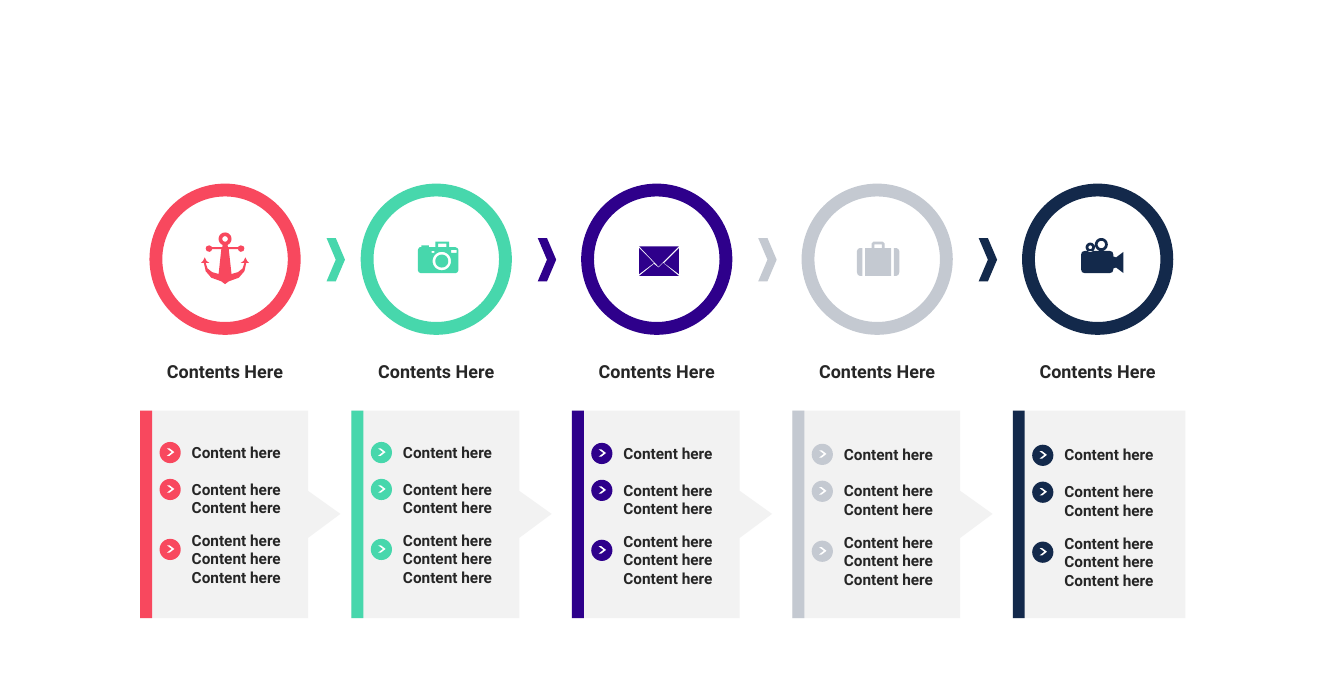
from math import cos, pi, sin

from pptx import Presentation
from pptx.dml.color import RGBColor
from pptx.enum.shapes import MSO_SHAPE as Preset
from pptx.enum.text import MSO_ANCHOR as Anchor, PP_ALIGN as Align
from pptx.util import Inches, Pt

RED = RGBColor(0xF8, 0x48, 0x5E)
GREEN = RGBColor(0x47, 0xD7, 0xAC)
PURPLE = RGBColor(0x2E, 0x00, 0x8B)
SILVER = RGBColor(0xC4, 0xC9, 0xD1)
NAVY = RGBColor(0x13, 0x29, 0x4B)
WHITE = RGBColor(0xFF, 0xFF, 0xFF)
PANEL_GREY = RGBColor(0xF2, 0xF2, 0xF2)
INK = RGBColor(0x26, 0x26, 0x26)
FONT = "Roboto"


def circle(x, y, radius, steps=32):
    angles = [2 * pi * step / steps for step in range(steps)]
    return [(x + radius * cos(angle), y + radius * sin(angle)) for angle in angles]


def rectangle(x, y, width, height):
    return [(x, y), (x + width, y), (x + width, y + height), (x, y + height)]


def mirrored(half):
    return half + [(-x, y) for x, y in reversed(half)]


# Icon outlines, in inches from the centre of the ring; inner outlines are holes
ANCHOR = [
    circle(0, -0.22, 0.07), circle(0, -0.22, 0.03),
    mirrored([
        (0.03, -0.15), (0.03, -0.13), (0.14, -0.13), (0.15, -0.14), (0.17, -0.15),
        (0.2, -0.14), (0.21, -0.12), (0.2, -0.09), (0.17, -0.08), (0.15, -0.09),
        (0.14, -0.11), (0.04, -0.11), (0.07, 0.16), (0.14, 0.14), (0.19, 0.1),
        (0.21, 0.04), (0.17, 0.04), (0.2, 0.02), (0.22, -0.02), (0.24, 0.02),
        (0.26, 0.04), (0.23, 0.04), (0.21, 0.13), (0.15, 0.2), (0.04, 0.24), (0, 0.27),
    ]),
]
CAMERA = [
    [(-0.18, -0.13), (-0.16, -0.13), (-0.16, -0.15), (-0.08, -0.15), (-0.08, -0.13),
     (-0.01, -0.13), (-0.01, -0.19), (0.14, -0.19), (0.14, -0.13), (0.21, -0.13),
     (0.23, -0.12), (0.24, -0.1), (0.24, 0.12), (0.23, 0.14), (0.21, 0.15),
     (-0.17, 0.15), (-0.19, 0.14), (-0.2, 0.12), (-0.2, -0.1), (-0.19, -0.12)],
    circle(0.06, 0.02, 0.1), circle(0.06, 0.02, 0.07),
    rectangle(-0.05, -0.09, 0.03, 0.02), rectangle(0.16, -0.1, 0.06, 0.03),
    rectangle(0.02, -0.17, 0.09, 0.04),
]
ENVELOPE = [
    [(0.07, 0.04), (0.24, 0.18), (-0.19, 0.18), (-0.03, 0.05), (0.02, 0.09)],
    [(0.24, -0.12), (0.24, 0.16), (0.08, 0.04)],
    [(-0.19, -0.12), (-0.03, 0.04), (-0.19, 0.16)],
    [(-0.19, -0.14), (0.24, -0.14), (0.02, 0.08)],
]
SUITCASE = [
    [(0.18, -0.12), (0.21, -0.12), (0.23, -0.11), (0.24, -0.09),
     (0.24, 0.14), (0.23, 0.17), (0.21, 0.18), (0.18, 0.18)],
    [(-0.16, -0.12), (-0.19, -0.12), (-0.21, -0.11), (-0.22, -0.09),
     (-0.22, 0.14), (-0.21, 0.17), (-0.19, 0.18), (-0.16, 0.18)],
    [(-0.13, -0.12), (-0.06, -0.12), (-0.06, -0.17), (-0.04, -0.19), (0.06, -0.19),
     (0.08, -0.17), (0.08, -0.12), (0.15, -0.12), (0.15, 0.18), (-0.13, 0.18)],
    rectangle(-0.03, -0.16, 0.08, 0.04),
]
FILM_CAMERA = [
    circle(-0.08, -0.13, 0.05), circle(-0.08, -0.13, 0.02),
    circle(0.04, -0.16, 0.07), circle(0.04, -0.16, 0.04),
    [(-0.14, -0.09), (0.13, -0.09), (0.16, -0.08), (0.17, -0.05), (0.17, -0.03),
     (0.2, -0.02), (0.28, -0.08), (0.28, 0.15), (0.2, 0.09), (0.17, 0.1),
     (0.17, 0.11), (0.16, 0.14), (0.13, 0.15), (-0.14, 0.15), (-0.17, 0.14),
     (-0.18, 0.11), (-0.18, -0.05), (-0.17, -0.08)],
]

# Colour, icon, heading, downward shift of the bullets
STEPS = [
    (RED, ANCHOR, "Contents Here", 0),
    (GREEN, CAMERA, "Contents Here", 0),
    (PURPLE, ENVELOPE, "Contents Here", 0.01),
    (SILVER, SUITCASE, "Contents Here", 0.02),
    (NAVY, FILM_CAMERA, "Contents Here", 0.03),
]
# Marker top, text top, text height, lines
BULLETS = [
    (4.79, 4.75, 0.3, ["Content here"]),
    (5.19, 5.15, 0.5, ["Content here"] * 2),
    (5.84, 5.7, 0.71, ["Content here"] * 3),
]
FIRST_LEFT, SECOND_LEFT, PITCH = 1.52, 3.81, 2.39
RING_TOP, RING_SIZE = 2.06, 1.5
PANEL_TOP, PANEL_HEIGHT = 4.45, 2.25
PANEL_WIDTH, LAST_PANEL_WIDTH = 1.82, 1.87

deck = Presentation()
deck.slide_width, deck.slide_height = Inches(14.57), Inches(7.5)
page = deck.slides.add_slide(deck.slide_layouts[6])


def paint(shape, color):
    shape.shadow.inherit = False
    shape.fill.solid()
    shape.fill.fore_color.rgb = color
    shape.line.fill.background()


def add_preset(preset, left, top, width, height, color):
    shape = page.shapes.add_shape(
        preset, Inches(left), Inches(top), Inches(width), Inches(height))
    paint(shape, color)
    return shape


def add_outlines(outlines, x, y, color):
    """Draw all outlines as one freeform, with (x, y) as their origin."""
    builder = None
    for outline in outlines:
        points = [(Inches(x + dx), Inches(y + dy)) for dx, dy in outline]
        if builder is None:
            builder = page.shapes.build_freeform(*points[0])
        else:
            builder.move_to(*points[0])
        builder.add_line_segments(points[1:], close=True)
    paint(builder.convert_to_shape(), color)


def add_text(left, top, width, height, lines, size, align):
    box = page.shapes.add_textbox(Inches(left), Inches(top), Inches(width), Inches(height))
    frame = box.text_frame
    frame.word_wrap = True
    frame.vertical_anchor = Anchor.MIDDLE
    for index, line in enumerate(lines):
        para = frame.add_paragraph() if index else frame.paragraphs[0]
        para.alignment = align
        span = para.add_run()
        span.text = line
        span.font.name, span.font.size, span.font.bold = FONT, Pt(size), True
        span.font.color.rgb = INK


def add_panel(left, color, is_last):
    if is_last:
        add_preset(Preset.RECTANGLE, left, PANEL_TOP, LAST_PANEL_WIDTH, PANEL_HEIGHT, PANEL_GREY)
    else:
        outline = [(0, 0), (PANEL_WIDTH, 0), (PANEL_WIDTH, 0.87), (2.17, 1.12),
                   (PANEL_WIDTH, 1.38), (PANEL_WIDTH, PANEL_HEIGHT), (0, PANEL_HEIGHT)]
        add_outlines([outline], left, PANEL_TOP, PANEL_GREY)
    add_preset(Preset.RECTANGLE, left, PANEL_TOP, 0.13, PANEL_HEIGHT, color)


def add_bullet(left, shift, color, bullet):
    marker_top, text_top, text_height, lines = bullet
    add_preset(Preset.OVAL, left + 0.21, marker_top + shift, 0.23, 0.23, color)
    tick = add_preset(Preset.CHEVRON, left + 0.29, marker_top + shift + 0.07, 0.08, 0.08, WHITE)
    tick.adjustments[0] = 0.65
    add_text(left + 0.46, text_top + shift, 1.38, text_height, lines, 12, Align.LEFT)


for index, (color, icon, heading, shift) in enumerate(STEPS):
    left = SECOND_LEFT + (index - 1) * PITCH if index else FIRST_LEFT
    is_last = index == len(STEPS) - 1
    ring = add_preset(Preset.OVAL, left + 0.17, RING_TOP, RING_SIZE, RING_SIZE, WHITE)
    ring.line.color.rgb = color
    ring.line.width = Pt(10)
    add_outlines(icon, left + 0.92, RING_TOP + RING_SIZE / 2, color)
    add_text(left, 3.86, 1.84, 0.34, [heading], 14, Align.CENTER)
    add_panel(left, color, is_last)
    for bullet in BULLETS:
        add_bullet(left, shift, color, bullet)
    if not is_last:
        next_color = STEPS[index + 1][0]
        add_preset(Preset.CHEVRON, left + 2.02, 2.58, 0.2, 0.47, next_color)

deck.save("out.pptx")
